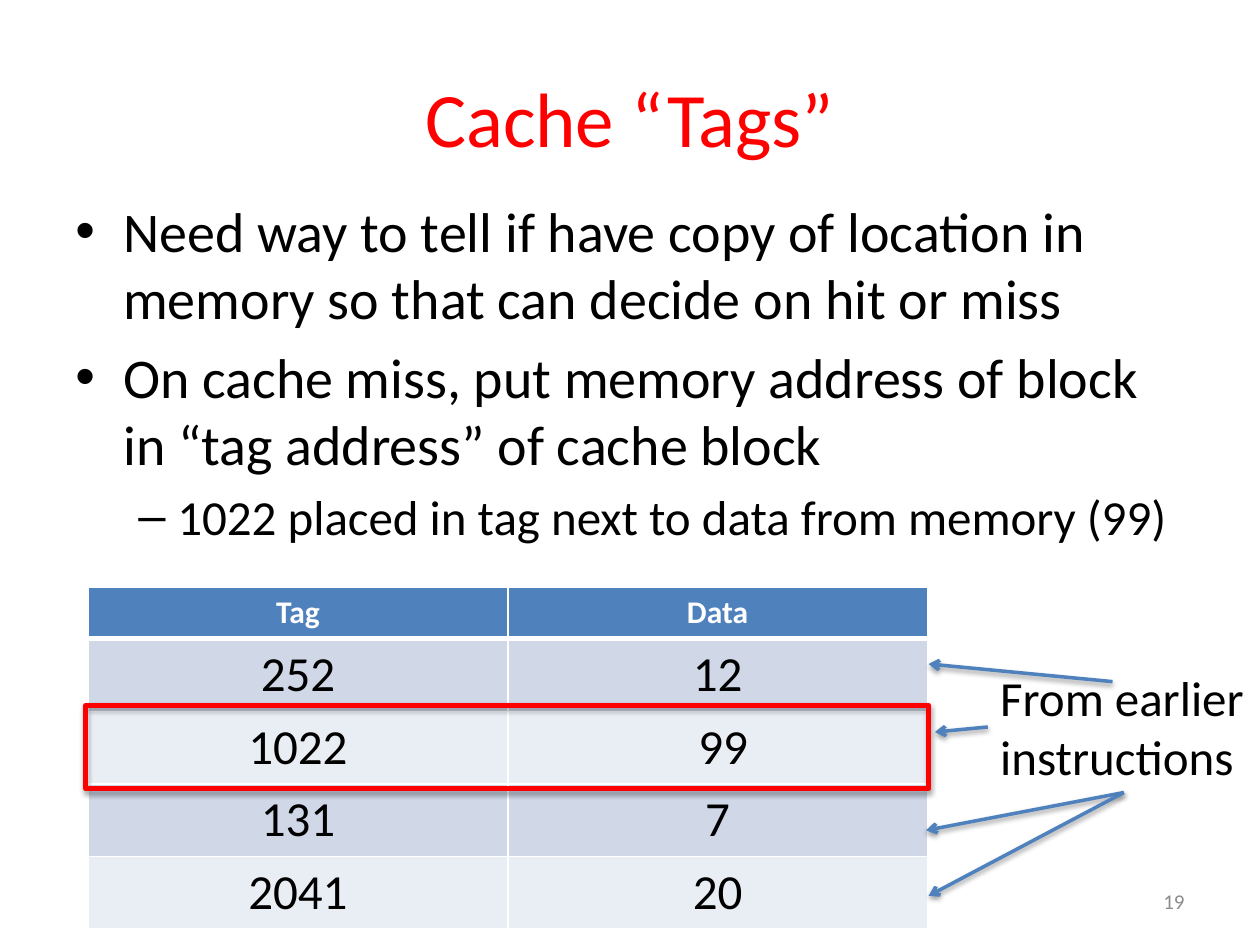
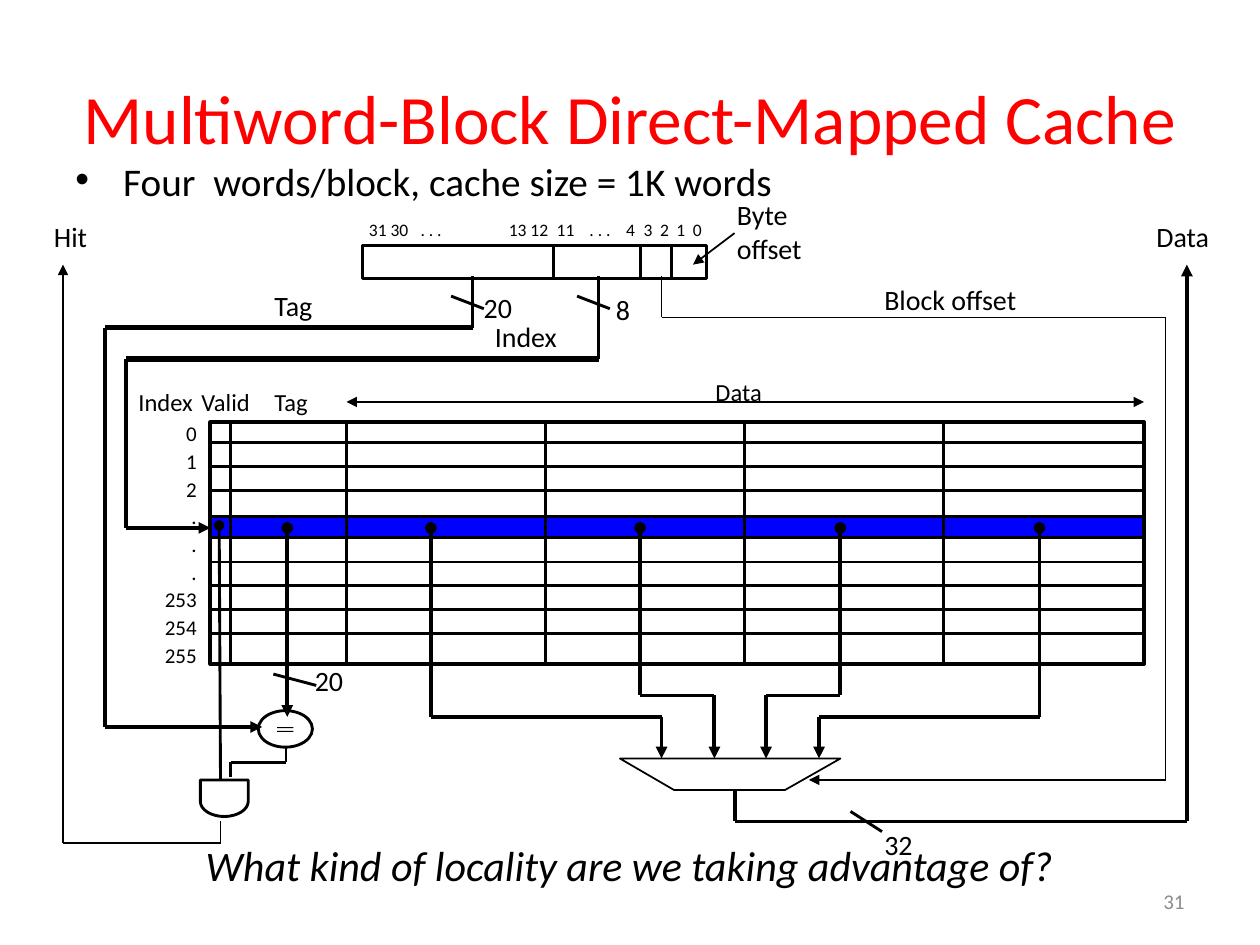
from dataclasses import dataclass
from itertools import pairwise
from math import cos, pi, sin

from lxml.etree import SubElement
from pptx import Presentation
from pptx.dml.color import RGBColor
from pptx.enum.shapes import MSO_CONNECTOR as Connector, MSO_SHAPE as Preset
from pptx.enum.text import MSO_ANCHOR as Anchor, MSO_AUTO_SIZE as AutoSize, PP_ALIGN as Align
from pptx.oxml.ns import qn
from pptx.util import Inches, Pt


@dataclass(frozen=True)
class Theme:
    font: str = "Calibri"
    title: str = "FF0000"
    text: str = "000000"
    muted: str = "8C8C8C"
    accent: str = "4F81BD"
    white: str = "FFFFFF"
    band_dark: str = "D0D8E8"
    band_light: str = "E9EDF4"
    selected: str = "0000FF"
    body_size: float = 32
    large_size: float = 28
    label_size: float = 16
    heading_size: float = 14
    small_size: float = 12
    bit_size: float = 10
    thin: float = 1
    medium: float = 1.63
    thick: float = 2.25
    bus: float = 3


THEME = Theme()
BULLET = {"character": "•", "margin": 0.38, "indent": -0.38}
DASH = {"character": "–", "margin": 0.81, "indent": -0.31}


# Shared formatting
def apply_format(target, values):
    for name, value in values.items():
        setattr(target, name, value)


def style_run(run, size, color=THEME.text, **extra):
    apply_format(run.font, {"name": THEME.font, "size": Pt(size), **extra})
    run.font.color.rgb = RGBColor.from_string(color)


def style_line(line, color, width):
    line.color.rgb = RGBColor.from_string(color)
    line.width = Pt(width)


def set_shadow(shape, alpha=None, distance=1.6):
    """Leave the effect list empty unless an opacity is given."""
    properties = shape._element.spPr
    for old in properties.findall(qn("a:effectLst")):
        properties.remove(old)
    effects = SubElement(properties, qn("a:effectLst"))
    if alpha:
        shadow = SubElement(effects, qn("a:outerShdw"), blurRad=str(Pt(3.1)),
                            dist=str(Pt(distance)), dir="5400000", rotWithShape="0")
        color = SubElement(shadow, qn("a:srgbClr"), val="000000")
        SubElement(color, qn("a:alpha"), val=str(alpha * 1000))


def set_bullet(paragraph, character, margin, indent):
    properties = paragraph._p.get_or_add_pPr()
    properties.set("marL", str(Inches(margin)))
    properties.set("indent", str(Inches(indent)))
    SubElement(properties, qn("a:buFont"), typeface="Arial")
    SubElement(properties, qn("a:buChar"), char=character)


# Element builders
def add_text(slide, box, lines, size, color=THEME.text, wrap=True, anchor=Anchor.TOP,
             paragraph_format=None, **font):
    shape = slide.shapes.add_textbox(*map(Inches, box))
    frame = shape.text_frame
    apply_format(frame, {"word_wrap": wrap, "vertical_anchor": anchor,
                         "auto_size": AutoSize.NONE if wrap else AutoSize.SHAPE_TO_FIT_TEXT})
    for index, line in enumerate(lines):
        paragraph = frame.paragraphs[0] if index == 0 else frame.add_paragraph()
        apply_format(paragraph, paragraph_format or {})
        run = paragraph.add_run()
        run.text = line
        style_run(run, size, color, **font)
    return shape


def add_label(slide, box, text, size=THEME.label_size):
    return add_text(slide, box, [text], size, wrap=False)


def add_bullets(slide, box, items, line_spacing=1.0):
    frame = add_text(slide, box, [], THEME.body_size).text_frame
    for index, (text, size, bullet) in enumerate(items):
        paragraph = frame.add_paragraph() if index else frame.paragraphs[0]
        apply_format(paragraph, {"line_spacing": line_spacing,
                                 "space_before": Pt(size * 0.2 if index else 0)})
        set_bullet(paragraph, **bullet)
        run = paragraph.add_run()
        run.text = text
        style_run(run, size)


def add_line(slide, start, end, width, color=THEME.text, head=None, tail=None):
    connector = slide.shapes.add_connector(Connector.STRAIGHT, *map(Inches, (*start, *end)))
    style_line(connector.line, color, width)
    line = connector.line._get_or_add_ln()
    for tag, kind in (("a:headEnd", head), ("a:tailEnd", tail)):
        if kind:
            SubElement(line, qn(tag), type=kind)
    set_shadow(connector)
    return connector


def add_wire(slide, points, width, head=None, tail=None, bus_segment=None):
    """Join points by straight lines; one segment may be drawn as a bus."""
    last = len(points) - 2
    for index, (start, end) in enumerate(pairwise(points)):
        add_line(slide, start, end, THEME.bus if index == bus_segment else width,
                 head=head if index == 0 else None, tail=tail if index == last else None)


def style_shape(shape, fill, line, width):
    if fill:
        shape.fill.solid()
        shape.fill.fore_color.rgb = RGBColor.from_string(fill)
    else:
        shape.fill.background()
    if width:
        style_line(shape.line, line, width)
    else:
        shape.line.fill.background()
    shape.shadow.inherit = False
    return shape


def add_preset(slide, preset, box, fill=None, line=THEME.text, width=THEME.medium):
    shape = slide.shapes.add_shape(preset, *map(Inches, box))
    return style_shape(shape, fill, line, width)


def add_outline(slide, points, width):
    corners = [(Inches(x), Inches(y)) for x, y in points]
    builder = slide.shapes.build_freeform(*corners[0])
    builder.add_line_segments(corners[1:], close=True)
    return style_shape(builder.convert_to_shape(), None, THEME.text, width)


def style_cell(cell, text, size, color, fill, bold, borders):
    cell.fill.solid()
    cell.fill.fore_color.rgb = RGBColor.from_string(fill)
    paragraph = cell.text_frame.paragraphs[0]
    paragraph.alignment = Align.CENTER
    run = paragraph.add_run()
    run.text = text
    style_run(run, size, color, bold=bold)
    properties = cell._tc.get_or_add_tcPr()
    for position, (side, width) in enumerate(borders.items()):
        border = SubElement(properties, qn(f"a:ln{side}"), w=str(Pt(width)))
        paint = SubElement(border, qn("a:solidFill"))
        SubElement(paint, qn("a:srgbClr"), val=THEME.white)
        properties.insert(position, border)


def add_cache_table(slide, rows):
    table = slide.shapes.add_table(len(rows), 2, *map(Inches, (0.7, 4.66, 6.67, 2.67))).table
    for column in table.columns:
        column.width = Inches(3.33)
    for index, values in enumerate(rows):
        header = index == 0
        table.rows[index].height = Inches(0.41 if header else 0.57)
        fill = THEME.accent if header else (THEME.band_light, THEME.band_dark)[index % 2]
        borders = {"L": 1, "R": 1, "T": 3 if index == 1 else 1, "B": 3 if header else 1}
        for column, text in enumerate(values):
            style_cell(table.cell(index, column), text, 18 if header else THEME.large_size,
                       THEME.white if header else THEME.text, fill, header, borders)


def add_base_slide(presentation, title, title_size, number):
    slide = presentation.slides.add_slide(presentation.slide_layouts[6])
    add_text(slide, (0.5, 0.3, 9, 1.25), [title], title_size, THEME.title,
             anchor=Anchor.MIDDLE, paragraph_format={"alignment": Align.CENTER})
    add_text(slide, (7.17, 6.95, 2.33, 0.4), [number], THEME.small_size, THEME.muted,
             anchor=Anchor.MIDDLE, paragraph_format={"alignment": Align.RIGHT})
    return slide


# Slide with the tag table
def build_tags_slide(presentation):
    slide = add_base_slide(presentation, "Cache “Tags”", 44, "19")
    add_bullets(slide, (0.5, 1.51, 9, 3.07), [
        ("Need way to tell if have copy of location in memory so that can decide on hit or miss",
         THEME.body_size, BULLET),
        ("On cache miss, put memory address of block in “tag address” of cache block",
         THEME.body_size, BULLET),
        ("1022 placed in tag next to data from memory (99)", THEME.large_size, DASH)])
    add_cache_table(slide, [("Tag", "Data"), ("252", "12"), ("1022", " 99"),
                            ("131", "7"), ("2041", "20")])
    highlight = add_preset(slide, Preset.RECTANGLE, (0.68, 5.6, 6.69, 0.66),
                           line=THEME.title, width=3)
    set_shadow(highlight, 35, 1.8)
    source = add_text(slide, (7.84, 5.25, 2.16, 1.04), ["From earlier", "instructions"],
                      THEME.large_size, wrap=False)
    # Arrows to the rows, with the side of the label they leave from
    for start, end, side in (((8.83, 5.41), (7.37, 5.27), None),
                             ((7.84, 5.77), (7.42, 5.81), 1),
                             ((8.92, 6.29), (7.35, 6.59), 2),
                             ((8.92, 6.29), (7.37, 7.11), 2)):
        arrow = add_line(slide, start, end, 2, THEME.accent, tail="arrow")
        if side is not None:
            arrow.begin_connect(source, side)
        set_shadow(arrow, 38)


# Parts of the cache diagram
def add_address_word(slide):
    add_preset(slide, Preset.RECTANGLE, (2.88, 1.95, 2.73, 0.26))
    for x in (4.39, 5.08, 5.33):
        add_line(slide, (x, 1.95), (x, 2.2), THEME.medium)
    bits = add_text(slide, (2.83, 1.69, 3.35, 0.27),
                    ["31 30\t. . .\t13 12\t11\t. . .\t4\t3\t2\t1\t0"], THEME.bit_size)
    properties = bits.text_frame.paragraphs[0]._p.get_or_add_pPr()
    stops = SubElement(properties, qn("a:tabLst"))
    for stop in (0.41, 1.11, 1.49, 1.75, 2.04, 2.18, 2.31, 2.44, 2.57):
        SubElement(stops, qn("a:tab"), pos=str(Inches(stop)), algn="l")
    add_text(slide, (5.75, 1.52, 0.92, 0.64), ["Byte offset"], THEME.label_size)
    add_line(slide, (5.83, 1.85), (5.5, 2.1), THEME.thin, tail="triangle")


def add_cache_array(slide):
    left, right, top, bottom = 1.67, 9.08, 3.35, 5.27
    add_preset(slide, Preset.RECTANGLE, (left, 4.1, right - left, 0.17), THEME.selected)
    for first_row, count in ((3.51, 3), (4.46, 4)):
        for row in range(count):
            y = first_row + 0.19 * row
            add_line(slide, (left, y), (right, y), THEME.medium)
    for x in (1.83, *(2.75 + 1.58 * word for word in range(4))):
        add_line(slide, (x, top), (x, bottom), THEME.medium)
    add_preset(slide, Preset.RECTANGLE, (left, top, right - left, bottom - top),
               width=THEME.thick)
    add_line(slide, (2.75, 3.19), (right, 3.19), THEME.thin, head="triangle", tail="triangle")
    for box, text in (((5.58, 2.94, 0.61, 0.33), "Data"), ((1, 3.02, 0.68, 0.33), "Index"),
                      ((2.08, 3.02, 0.53, 0.33), "Tag"), ((1.5, 3.02, 0.63, 0.33), "Valid")):
        add_label(slide, box, text, THEME.heading_size)
    add_text(slide, (1.18, 3.27, 0.48, 2.09), ["0", "1", "2", ".", ".", ".", "253", "254", "255"],
             THEME.small_size, wrap=False,
             paragraph_format={"alignment": Align.RIGHT, "line_spacing": 1.1})


def add_hit_logic(slide):
    # Index and tag buses
    add_wire(slide, [(4.75, 2.19), (4.75, 2.85), (1, 2.85), (1, 4.19), (1.67, 4.19)],
             THEME.thick, tail="triangle", bus_segment=1)
    add_wire(slide, [(3.75, 2.19), (3.75, 2.6), (0.83, 2.6), (0.83, 5.77), (2.08, 5.77)],
             THEME.thick, tail="triangle", bus_segment=1)
    add_line(slide, (2.28, 4.19), (2.28, 5.69), THEME.thick, head="oval", tail="triangle")
    # Comparator
    add_preset(slide, Preset.OVAL, (2.05, 5.64, 0.43, 0.29))
    for y in (5.77, 5.8):
        add_preset(slide, Preset.RECTANGLE, (2.2, y, 0.13, 0.01), THEME.text, width=0)
    # AND gate: flat top and a half ellipse below
    arc = [(1.78 + 0.19 * cos(pi * step / 16), 6.36 + 0.12 * sin(pi * step / 16))
           for step in range(17)]
    add_outline(slide, [(1.59, 6.19), (1.97, 6.19), *arc], THEME.medium)
    add_line(slide, (1.74, 4.17), (1.75, 6.19), THEME.medium, head="oval")
    add_wire(slide, [(2.27, 5.93), (2.27, 6.05), (1.83, 6.05), (1.83, 6.17)], THEME.medium)
    add_wire(slide, [(1.75, 6.52), (1.75, 6.69), (0.5, 6.69), (0.5, 2.1)],
             THEME.thin, tail="triangle")


def add_data_selector(slide):
    add_outline(slide, [(4.92, 6.02), (5.35, 6.27), (6.23, 6.27), (6.67, 6.02)], THEME.thin)
    for word, turn, entry in ((3.42, 5.69, 5.25), (5.08, 5.52, 5.67),
                              (6.67, 5.52, 6.08), (8.25, 5.69, 6.5)):
        add_wire(slide, [(word, 4.19), (word, turn), (entry, turn), (entry, 6.02)],
                 THEME.thick, head="oval", tail="triangle")
    add_wire(slide, [(5.25, 2.19), (5.25, 2.52), (9.25, 2.52), (9.25, 6.19), (6.42, 6.19)],
             THEME.thin, tail="triangle")
    add_wire(slide, [(5.83, 6.27), (5.83, 6.52), (9.42, 6.52), (9.42, 2.1)],
             THEME.thick, tail="triangle")


def build_diagram_slide(presentation):
    slide = add_base_slide(presentation, "Multiword-Block Direct-Mapped Cache", 39.6, "31")
    add_bullets(slide, (0.5, 1.33, 8.83, 0.58),
                [("Four  words/block, cache size = 1K words", 22.4, BULLET)], 0.6)
    add_address_word(slide)
    add_cache_array(slide)
    add_hit_logic(slide)
    add_data_selector(slide)
    # Bus width ticks
    for start, end in (((4.58, 2.35), (4.84, 2.45)), ((3.58, 2.35), (3.84, 2.45)),
                       ((2.17, 5.35), (2.51, 5.44)), ((6.75, 6.44), (7, 6.6))):
        add_line(slide, start, end, THEME.medium)
    # Signal names and bus widths
    for left, top, width, text in (
            (4.79, 2.27, 0.33, "8"), (3.83, 2.49, 0.74, "Index"), (2.4, 5.22, 0.45, "20"),
            (3.74, 2.26, 0.45, "20"), (2.08, 2.24, 0.58, "Tag"), (0.33, 1.69, 0.47, "Hit"),
            (9.08, 1.69, 0.67, "Data"), (6.92, 6.52, 0.45, "32")):
        add_label(slide, (left, top, width, 0.37), text)
    add_text(slide, (6.92, 2.19, 1.75, 0.37), ["Block offset"], THEME.label_size)
    add_text(slide, (0.58, 6.66, 8.83, 0.5),
             ["What kind of locality are we taking advantage of?"], 24, italic=True,
             paragraph_format={"alignment": Align.CENTER, "line_spacing": 0.9})


def main():
    presentation = Presentation()
    apply_format(presentation, {"slide_width": Inches(10), "slide_height": Inches(7.5)})
    build_tags_slide(presentation)
    build_diagram_slide(presentation)
    presentation.save("out.pptx")


if __name__ == "__main__":
    main()
